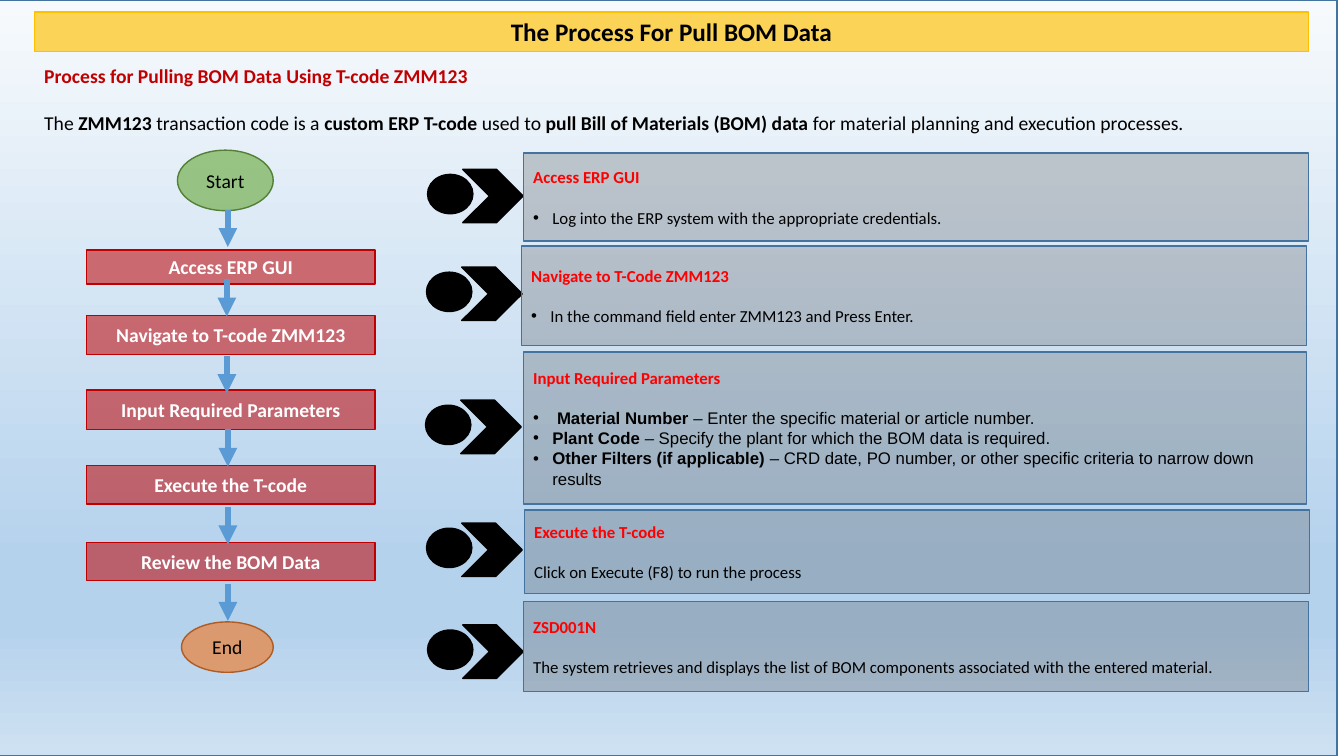
"""Build the slide on pulling BOM data: a flowchart beside its step details."""
from dataclasses import dataclass

from lxml import etree
from pptx import Presentation
from pptx.dml.color import RGBColor
from pptx.enum.shapes import MSO_CONNECTOR, MSO_SHAPE
from pptx.enum.text import MSO_ANCHOR, PP_ALIGN
from pptx.oxml import parse_xml
from pptx.oxml.ns import nsdecls, qn
from pptx.util import Inches, Pt

TITLE = "The Process For Pull BOM Data"
INTRO = (
    "Process for Pulling BOM Data Using T-code ZMM123",
    "The **ZMM123** transaction code is a **custom ERP T-code** used to "
    "**pull Bill of Materials (BOM) data** for material planning and execution processes.",
)
STEPS = [
    ("Access ERP GUI", 2.48, 0.34),
    ("Navigate to T-code ZMM123", 3.13, 0.39),
    ("Input Required Parameters", 3.87, 0.39),
    ("Execute the T-code", 4.62, 0.38),
    ("Review the BOM Data", 5.38, 0.38),
]
ARROWS = [(2.26, 2.08), (2.25, 2.77), (2.25, 3.53), (2.26, 4.26), (2.26, 5.03), (2.26, 5.79)]
DETAILS = [
    {"heading": "Access ERP GUI", "at": (5.19, 1.52, 7.79, 0.87), "marker": (4.24, 1.73),
     "bullets": True, "font": "Calibri",
     "lines": ["Log into the ERP system with the appropriate credentials."]},
    {"heading": "Navigate to T-Code ZMM123", "at": (5.17, 2.44, 7.79, 0.99), "marker": (4.23, 2.7),
     "bullets": True, "font": "Calibri",
     "lines": ["In the command field enter ZMM123 and Press Enter."]},
    {"heading": "Input Required Parameters", "at": (5.19, 3.49, 7.77, 1.51), "marker": (4.22, 4.02),
     "bullets": True, "font": "Arial",
     "lines": [" **Material Number** – Enter the specific material or article number.",
               "**Plant Code** – Specify the plant for which the BOM data is required.",
               "**Other Filters (if applicable)** – CRD date, PO number, or other specific "
               "criteria to narrow down results"]},
    {"heading": "Execute the T-code", "at": (5.2, 5.06, 7.79, 0.83), "marker": (4.23, 5.24),
     "bullets": False, "font": "Calibri",
     "lines": ["Click on Execute (F8) to run the process"]},
    {"heading": "ZSD001N", "at": (5.19, 5.97, 7.79, 0.89), "marker": (4.24, 6.25),
     "bullets": False, "font": "Calibri",
     "lines": ["The system retrieves and displays the list of BOM components "
               "associated with the entered material."]},
]


@dataclass(frozen=True)
class Theme:
    """Colours, type sizes and fonts of the slide."""
    black: str = "000000"
    white: str = "FFFFFF"
    gold: str = "FFC000"
    crimson: str = "C00000"
    red: str = "FF0000"
    green: str = "70AD47"
    green_edge: str = "538035"
    orange: str = "ED7D31"
    orange_edge: str = "AF5C24"
    blue: str = "5B9BD5"
    blue_edge: str = "43739E"
    panel: str = "3B3838"
    sky: tuple = ((0, "F7FAFD"), (74, "B5D2EC"), (83, "B5D2EC"), (100, "CEE1F2"))
    font: str = "Calibri"
    title: int = 18
    body: int = 14
    detail: int = 12


THEME = Theme()


def add_block(slide, kind, at, fill, edge, opacity=100):
    """Add a filled, outlined shape without shadow."""
    block = slide.shapes.add_shape(kind, *map(Inches, at))
    block.shadow.inherit = False
    block.line.color.rgb = RGBColor.from_string(edge)
    block.line.width = Pt(1)
    block.fill.solid()
    block.fill.fore_color.rgb = RGBColor.from_string(fill)
    if opacity < 100:
        colour = block.fill._xPr.find(qn("a:solidFill"))[0]
        etree.SubElement(colour, qn("a:alpha"), val=str(opacity * 1000))
    frame = block.text_frame
    frame.word_wrap = True
    frame.vertical_anchor = MSO_ANCHOR.MIDDLE
    return block


def write(paragraph, text, size, colour, bold=False, font=THEME.font):
    """Write text whose **marked** parts turn bold."""
    paragraph.alignment = PP_ALIGN.LEFT
    for index, part in enumerate(text.split("**")):
        if part:
            run = paragraph.add_run()
            run.text = part
            run.font.name = font
            run.font.size = Pt(size)
            run.font.bold = bold or index % 2 == 1
            run.font.color.rgb = RGBColor.from_string(colour)


def add_label(slide, kind, at, text, fill, edge, opacity, size, colour, bold):
    """Add a block with one centred line."""
    label = add_block(slide, kind, at, fill, edge, opacity).text_frame.paragraphs[0]
    write(label, text, size, colour, bold)
    label.alignment = PP_ALIGN.CENTER


def add_backdrop(slide):
    """Add the vertical sky gradient."""
    backdrop = add_block(slide, MSO_SHAPE.RECTANGLE, (-0.07, 0, 13.33, 7.5),
                         THEME.white, THEME.blue_edge)
    stops = "".join(f'<a:gs pos="{place * 1000}"><a:srgbClr val="{colour}"/></a:gs>'
                    for place, colour in THEME.sky)
    gradient = parse_xml(f'<a:gradFill {nsdecls("a")} rotWithShape="1"><a:gsLst>{stops}</a:gsLst>'
                         '<a:lin ang="5400000" scaled="1"/></a:gradFill>')
    properties = backdrop.fill._xPr
    properties.replace(properties.find(qn("a:solidFill")), gradient)


def add_intro(slide):
    """Add the subtitle and the sentence below it."""
    frame = slide.shapes.add_textbox(*map(Inches, (0.34, 0.58, 13.13, 0.81))).text_frame
    frame.word_wrap = True
    subtitle, sentence = INTRO
    write(frame.paragraphs[0], subtitle, THEME.body, THEME.crimson, True)
    explanation = frame.add_paragraph()
    explanation.space_before = Pt(17)
    write(explanation, sentence, THEME.body, THEME.black)


def add_arrow(slide, x, top, length=0.37):
    """Add a downward flow arrow."""
    arrow = slide.shapes.add_connector(MSO_CONNECTOR.STRAIGHT, Inches(x), Inches(top),
                                       Inches(x), Inches(top + length))
    arrow.line.color.rgb = RGBColor.from_string(THEME.blue)
    arrow.line.width = Pt(4.5)
    etree.SubElement(arrow.line._get_or_add_ln(), qn("a:tailEnd"), type="triangle")
    etree.SubElement(arrow._element.spPr, qn("a:effectLst"))


def add_flow(slide):
    """Add the flowchart from Start to End."""
    for text, top, height in STEPS:
        add_label(slide, MSO_SHAPE.RECTANGLE, (0.86, top, 2.86, height), text,
                  THEME.crimson, THEME.crimson, 54, THEME.body, THEME.white, True)
    add_label(slide, MSO_SHAPE.OVAL, (1.76, 1.49, 0.95, 0.6), "Start",
              THEME.green, THEME.green_edge, 66, THEME.body, THEME.black, False)
    for x, top in ARROWS:
        add_arrow(slide, x, top)
    add_label(slide, MSO_SHAPE.OVAL, (1.8, 6.17, 0.91, 0.5), "End",
              THEME.orange, THEME.orange_edge, 67, THEME.body, THEME.black, False)


def add_detail(slide, detail):
    """Add one marker and its explanation panel."""
    x, y = detail["marker"]
    add_block(slide, MSO_SHAPE.OVAL, (x, y, 0.45, 0.39), THEME.black, THEME.black)
    add_block(slide, MSO_SHAPE.CHEVRON, (x + 0.35, y - 0.05, 0.6, 0.53), THEME.black, THEME.black)
    frame = add_block(slide, MSO_SHAPE.RECTANGLE, detail["at"], THEME.panel,
                      THEME.blue_edge, 23).text_frame
    write(frame.paragraphs[0], detail["heading"], THEME.detail, THEME.red, True)
    for index, text in enumerate(detail["lines"]):
        line = frame.add_paragraph()
        line.space_before = Pt(0 if index else 14.6)
        if detail["bullets"]:
            layout = line._p.get_or_add_pPr()
            layout.set("marL", str(Inches(0.19)))
            layout.set("indent", str(-Inches(0.19)))
            etree.SubElement(layout, qn("a:buFont"), typeface="Arial")
            etree.SubElement(layout, qn("a:buChar"), char="•")
        write(line, text, THEME.detail, THEME.black, font=detail["font"])


def main():
    """Assemble and save the slide."""
    deck = Presentation()
    deck.slide_width, deck.slide_height = Inches(13.33), Inches(7.5)
    slide = deck.slides.add_slide(deck.slide_layouts[6])
    add_backdrop(slide)
    add_label(slide, MSO_SHAPE.RECTANGLE, (0.34, 0.12, 12.64, 0.39), TITLE,
              THEME.gold, THEME.gold, 65, THEME.title, THEME.black, True)
    add_intro(slide)
    add_flow(slide)
    for detail in DETAILS:
        add_detail(slide, detail)
    deck.save("out.pptx")


if __name__ == "__main__":
    main()
